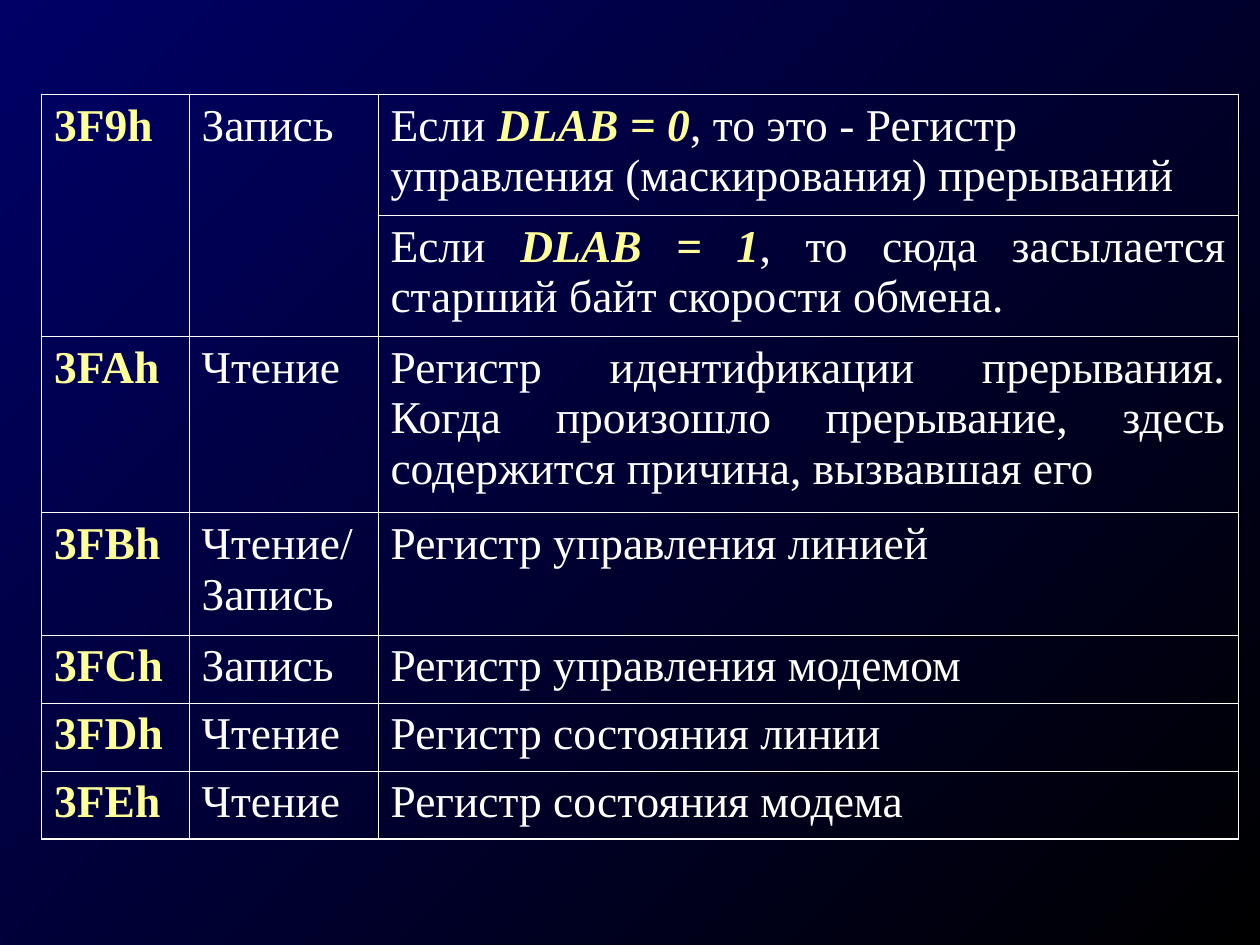
import pptx
import pptx.dml.color
import pptx.enum.text
import pptx.oxml
import pptx.oxml.ns
import pptx.util
from pptx.util import Inches

ALIGN = pptx.enum.text.PP_ALIGN
FONT, SIZE = "Times New Roman", 26
WHITE, YELLOW = "FFFFFF", "FFFF99"
BACKGROUND = ("000066", "000000")
THICK, THIN = 1.08, 0.45

# Content: address, access, description; None continues the cell above.
# A description is a list of (text, is emphasised) runs.
JUSTIFIED = ("DLAB = 1", "Регистр идентификации прерывания.")
INTERRUPT_ROWS = [
    ("3F9h", "Запись", [
        ("Если ", False), ("DLAB = 0", True),
        (", то это - Регистр управления (маскирования) прерываний", False)]),
    (None, None, [
        ("Если ", False), ("DLAB = 1", True),
        (", то сюда засылается старший байт скорости обмена.", False)]),
]
REGISTER_ROWS = [
    ("3FAh", "Чтение", [
        ("Регистр идентификации прерывания. Когда произошло прерывание, "
         "здесь содержится причина, вызвавшая его", False)]),
    ("3FBh", "Чтение/ Запись", [("Регистр управления линией", False)]),
    ("3FСh", "Запись", [("Регистр управления модемом", False)]),
    ("3FDh", "Чтение", [("Регистр состояния линии", False)]),
    ("3FЕh", "Чтение", [("Регистр состояния модема", False)]),
]

# Layout
LEFT, TOP = 0.33, 0.75
COLUMNS = (1.17, 1.5, 6.83)
INTERRUPT_HEIGHTS = (0.96, 0.96)
REGISTER_HEIGHTS = (1.4, 0.97, 0.54, 0.54, 0.54)


def rgb(value):
    return pptx.dml.color.RGBColor.from_string(value)


def add_text(p, text, color=WHITE, bold=False, italic=False):
    r = p.add_run()
    r.text = text
    r.font.name, r.font.size = FONT, pptx.util.Pt(SIZE)
    r.font.bold, r.font.italic = bold, italic
    r.font.color.rgb = rgb(color)


def set_borders(cell, widths):
    """Draw the given sides; widths maps L, R, T, B to points, in that order."""
    tc_pr = cell._tc.get_or_add_tcPr()
    for i, (side, width) in enumerate(widths.items()):
        tc_pr.insert(i, pptx.oxml.parse_xml(
            f'<a:ln{side} {pptx.oxml.ns.nsdecls("a")} w="{pptx.util.Pt(width)}">'
            f'<a:solidFill><a:srgbClr val="{WHITE}"/></a:solidFill></a:ln{side}>'))


def add_register_table(s, rows, top, heights):
    n_rows, n_cols = len(rows), len(COLUMNS)
    table = s.shapes.add_table(n_rows, n_cols, Inches(LEFT), Inches(top),
                               Inches(sum(COLUMNS)), Inches(sum(heights))).table
    table.first_row = table.horz_banding = False
    for column, width in zip(table.columns, COLUMNS):
        column.width = Inches(width)
    for row, height in zip(table.rows, heights):
        row.height = Inches(height)

    # Join continued cells with the one above
    for i, row in enumerate(rows):
        for j, value in enumerate(row):
            if value is None:
                table.cell(i - 1, j).merge(table.cell(i, j))

    for i, row in enumerate(rows):
        for j, value in enumerate(row):
            cell = table.cell(i, j)
            cell.fill.background()
            last = i + (cell.span_height if cell.is_merge_origin else 1) == n_rows
            widths = {"L": THIN if j else THICK,
                      "R": THICK if j == n_cols - 1 else THIN,
                      "T": THIN if i else THICK,
                      "B": THICK if last else THIN}
            if value is None:
                del widths["T"]
            set_borders(cell, widths)
            if value is None:
                continue
            p = cell.text_frame.paragraphs[0]
            if j < 2:
                add_text(p, value, YELLOW if j == 0 else WHITE, bold=j == 0)
                continue
            for text, strong in value:
                add_text(p, text, YELLOW if strong else WHITE, strong, strong)
                if text.startswith(JUSTIFIED):
                    p.alignment = ALIGN.JUSTIFY


prs = pptx.Presentation()
prs.slide_width, prs.slide_height = Inches(10), Inches(7.5)
s = prs.slides.add_slide(prs.slide_layouts[6])

# Diagonal gradient background
fill = s.background.fill
fill.gradient()
fill.gradient_angle = 315
for stop, color, position in zip(fill.gradient_stops, BACKGROUND, (0, 1)):
    stop.color.rgb = rgb(color)
    stop.position = position

# Lower table first, so the upper one lies in front
add_register_table(s, REGISTER_ROWS, TOP + sum(INTERRUPT_HEIGHTS), REGISTER_HEIGHTS)
add_register_table(s, INTERRUPT_ROWS, TOP, INTERRUPT_HEIGHTS)

prs.save("out.pptx")
